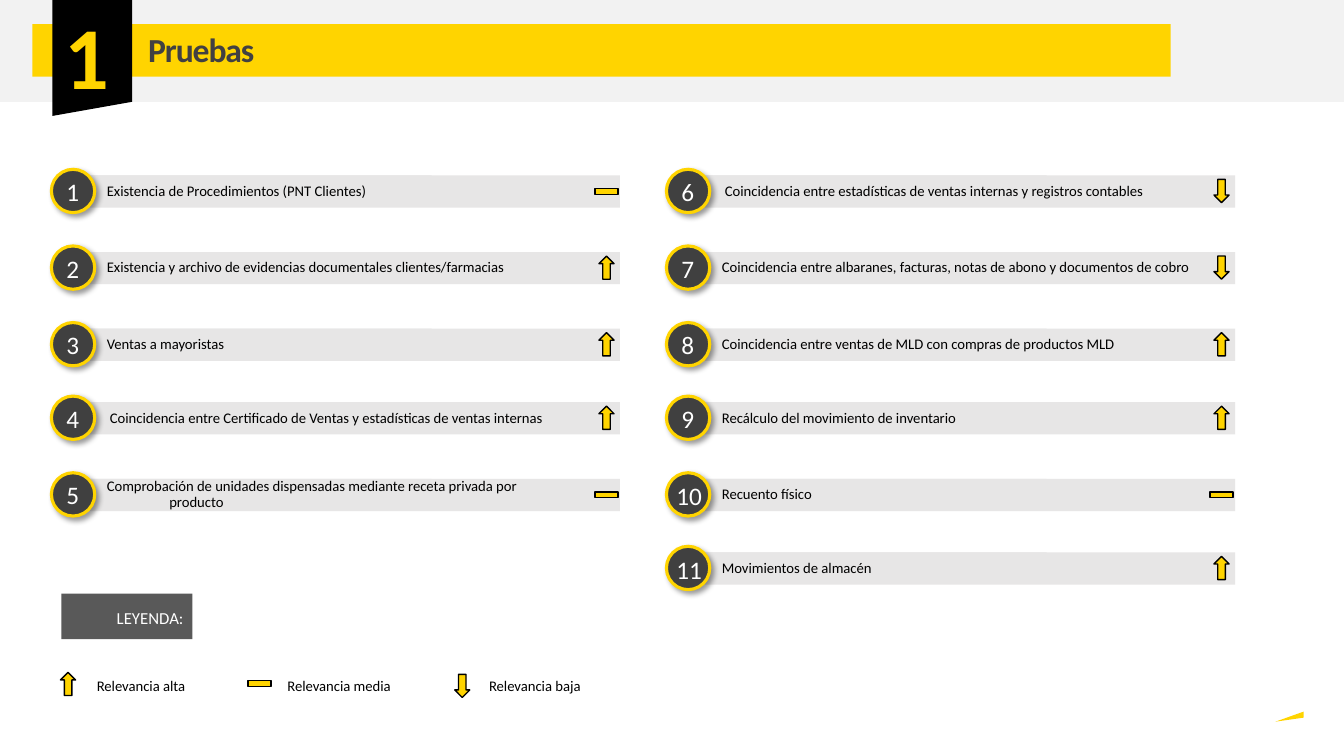
from dataclasses import dataclass
from enum import Enum

from lxml import etree
from pptx import Presentation
from pptx.dml.color import RGBColor
from pptx.enum.shapes import MSO_SHAPE
from pptx.enum.text import MSO_ANCHOR, MSO_AUTO_SIZE
from pptx.oxml.ns import qn
from pptx.shapes.autoshape import Shape
from pptx.util import Pt

RECT = MSO_SHAPE.RECTANGLE
OVAL = MSO_SHAPE.OVAL
PLATE = MSO_SHAPE.PENTAGON
ARROW = MSO_SHAPE.DOWN_ARROW
MINUS = MSO_SHAPE.MATH_MINUS
TOP, MIDDLE = MSO_ANCHOR.TOP, MSO_ANCHOR.MIDDLE
FIT_SHAPE, FIT_NONE = MSO_AUTO_SIZE.SHAPE_TO_FIT_TEXT, MSO_AUTO_SIZE.NONE
PX = 9144


@dataclass(frozen=True)
class Theme:
    font: str = "Calibri"
    yellow: str = "FFD400"
    black: str = "000000"
    white: str = "FFFFFF"
    band: str = "F2F2F2"
    bar: str = "E7E6E6"
    badge: str = "404040"
    heading: str = "414042"
    legend: str = "595959"
    section_size: float = 63
    heading_size: float = 24
    number_size: float = 18
    legend_size: float = 12
    body_size: float = 10.5


class Relevance(Enum):
    HIGH = "Relevancia alta"
    MEDIUM = "Relevancia media"
    LOW = "Relevancia baja"


@dataclass(frozen=True)
class Check:
    lines: tuple[str, ...]
    relevance: Relevance
    indents: tuple[int, ...] = (0,)


@dataclass(frozen=True)
class LegendEntry:
    relevance: Relevance
    icon_left: int
    icon_top: int
    label_left: int


THEME = Theme()
BODY_INSETS = (31, 3, 6, 3)
TITLE_INSETS = (0, 1, 0, 0)
ROW_TOPS = (174, 250, 326, 399, 475, 548)
COLUMN_LEFTS = (51, 661)
HIGH, MEDIUM, LOW = Relevance.HIGH, Relevance.MEDIUM, Relevance.LOW

CHECK_COLUMNS = (
    (
        Check(("Existencia de Procedimientos (PNT Clientes)",), MEDIUM),
        Check(("Existencia y archivo de evidencias documentales clientes/farmacias",), HIGH),
        Check(("Ventas a mayoristas",), HIGH),
        Check(("Coincidencia entre Certificado de Ventas y estadísticas de ventas internas",),
              HIGH, (3,)),
        Check(("Comprobación de unidades dispensadas mediante receta privada por", "producto"),
              MEDIUM, (0, 62)),
    ),
    (
        Check(("Coincidencia entre estadísticas de ventas internas y registros contables",),
              LOW, (3,)),
        Check(("Coincidencia entre albaranes, facturas, notas de abono y documentos de cobro",), LOW),
        Check(("Coincidencia entre ventas de MLD con compras de productos MLD",), HIGH),
        Check(("Recálculo del movimiento de inventario",), HIGH),
        Check(("Recuento físico",), MEDIUM),
        Check(("Movimientos de almacén",), HIGH),
    ),
)
LEGEND = (
    LegendEntry(HIGH, 52, 667, 65),
    LegendEntry(MEDIUM, 242, 666, 254),
    LegendEntry(LOW, 443, 669, 454),
)

deck = Presentation()
deck.slide_width, deck.slide_height = 1333 * PX, 750 * PX
slide = deck.slides.add_slide(deck.slide_layouts[6])


def paint(shape: Shape, fill: str, line: str | None = None, line_width: float = 1) -> Shape:
    shape.shadow.inherit = False
    shape.fill.solid()
    shape.fill.fore_color.rgb = RGBColor.from_string(fill)
    if line:
        shape.line.color.rgb = RGBColor.from_string(line)
        shape.line.width = Pt(line_width)
    else:
        shape.line.fill.background()
    return shape


def add_preset(kind: MSO_SHAPE, left: int, top: int, width: int, height: int, fill: str,
               line: str | None = None, line_width: float = 1, rotation: int = 0) -> Shape:
    shape = slide.shapes.add_shape(kind, left * PX, top * PX, width * PX, height * PX)
    shape.rotation = rotation
    return paint(shape, fill, line, line_width)


def add_outline(points: tuple[tuple[int, int], ...], fill: str) -> Shape:
    builder = slide.shapes.build_freeform(*points[0], scale=PX)
    builder.add_line_segments(points[1:], close=True)
    return paint(builder.convert_to_shape(), fill)


def add_box(left: int, top: int, width: int, height: int) -> Shape:
    return slide.shapes.add_textbox(left * PX, top * PX, width * PX, height * PX)


def write(shape: Shape, lines: tuple[str, ...], *, size: float, color: str, bold: bool = False,
          insets: tuple[int, int, int, int] = (10, 5, 10, 5), anchor: MSO_ANCHOR = TOP,
          fit: MSO_AUTO_SIZE = FIT_NONE, indents: tuple[int, ...] = (0,),
          line_spacing: float = 1, space_before: float = 0, tracking: int = 0) -> None:
    frame = shape.text_frame
    frame.word_wrap = True
    frame.auto_size = fit
    frame.vertical_anchor = anchor
    frame.margin_left, frame.margin_top, frame.margin_right, frame.margin_bottom = (
        inset * PX for inset in insets)
    frame.text = "\n".join(lines)
    for paragraph, indent in zip(frame.paragraphs, indents):
        properties = paragraph._p.get_or_add_pPr()
        properties.set("marL", str(indent * PX))
        properties.set("algn", "l")
        paragraph.line_spacing = line_spacing
        paragraph.space_before = Pt(space_before)
        run = paragraph.runs[0]
        run.font.name = THEME.font
        run.font.size = Pt(size)
        run.font.bold = bold
        run.font.color.rgb = RGBColor.from_string(color)
        if tracking:
            run._r.get_or_add_rPr().set("spc", str(tracking))


def write_body(shape: Shape, lines: tuple[str, ...], indents: tuple[int, ...] = (0,)) -> None:
    write(shape, lines, size=THEME.body_size, color=THEME.black, insets=BODY_INSETS,
          anchor=MIDDLE, indents=indents, line_spacing=0.9)


def cast_shadow(shape: Shape) -> None:
    effects = shape._element.spPr.find(qn("a:effectLst"))
    shadow = etree.SubElement(effects, qn("a:outerShdw"), blurRad=str(Pt(4)), dist=str(Pt(3)),
                              dir="2700000", algn="tl", rotWithShape="0")
    tint = etree.SubElement(shadow, qn("a:srgbClr"), val=THEME.black)
    etree.SubElement(tint, qn("a:alpha"), val="40000")


def draw_relevance(relevance: Relevance, left: int, top: int) -> None:
    if relevance is MEDIUM:
        add_preset(MINUS, left, top, 31, 24, THEME.yellow, THEME.black)
    else:
        add_preset(ARROW, left + 8, top, 15, 23, THEME.yellow, THEME.black,
                   rotation=180 if relevance is HIGH else 0)


def draw_check(check: Check, number: int, left: int, top: int) -> None:
    add_preset(PLATE, left + 22, top, 355, 25, THEME.bar, rotation=180)
    bar = add_preset(RECT, left + 24, top, 540, 32, THEME.bar)
    write_body(bar, check.lines, check.indents)
    cast_shadow(add_preset(OVAL, left, top - 6, 43, 43, THEME.badge, THEME.yellow, 2.25))
    if number < 10:
        label = add_box(left + 5, top - 4, 31, 40)
    else:
        label = add_box(left, top - 3, 52, 40)
    write(label, (str(number),), size=THEME.number_size, color=THEME.white, fit=FIT_SHAPE)
    draw_relevance(check.relevance, left + 535, top + 4)


def draw_header() -> None:
    add_preset(RECT, 0, 0, 1333, 101, THEME.band)
    add_preset(RECT, 32, 24, 1129, 52, THEME.yellow)
    add_outline(((131, 0), (52, 0), (52, 115), (131, 101)), THEME.black)
    write(add_box(63, 0, 57, 107), ("1",), size=THEME.section_size, color=THEME.yellow,
          bold=True, insets=TITLE_INSETS, fit=FIT_SHAPE, indents=(1,), space_before=1)
    write(add_box(138, 28, 768, 43), ("Pruebas",), size=THEME.heading_size, color=THEME.heading,
          bold=True, insets=TITLE_INSETS, fit=FIT_SHAPE, indents=(9,), space_before=1, tracking=-80)


def draw_legend() -> None:
    add_preset(RECT, 61, 589, 130, 45, THEME.legend)
    write(add_box(56, 598, 137, 30), ("LEYENDA:",), size=THEME.legend_size, color=THEME.white,
          fit=FIT_SHAPE, indents=(50,))
    for entry in LEGEND:
        draw_relevance(entry.relevance, entry.icon_left, entry.icon_top)
        write_body(add_box(entry.label_left, 664, 482, 35), (entry.relevance.value,))


def main() -> None:
    draw_header()
    number = 0
    for left, checks in zip(COLUMN_LEFTS, CHECK_COLUMNS):
        for top, check in zip(ROW_TOPS, checks):
            number += 1
            draw_check(check, number, left, top)
    draw_legend()
    add_outline(((1293, 706), (1265, 716), (1293, 712)), THEME.yellow)
    deck.save("out.pptx")


if __name__ == "__main__":
    main()
